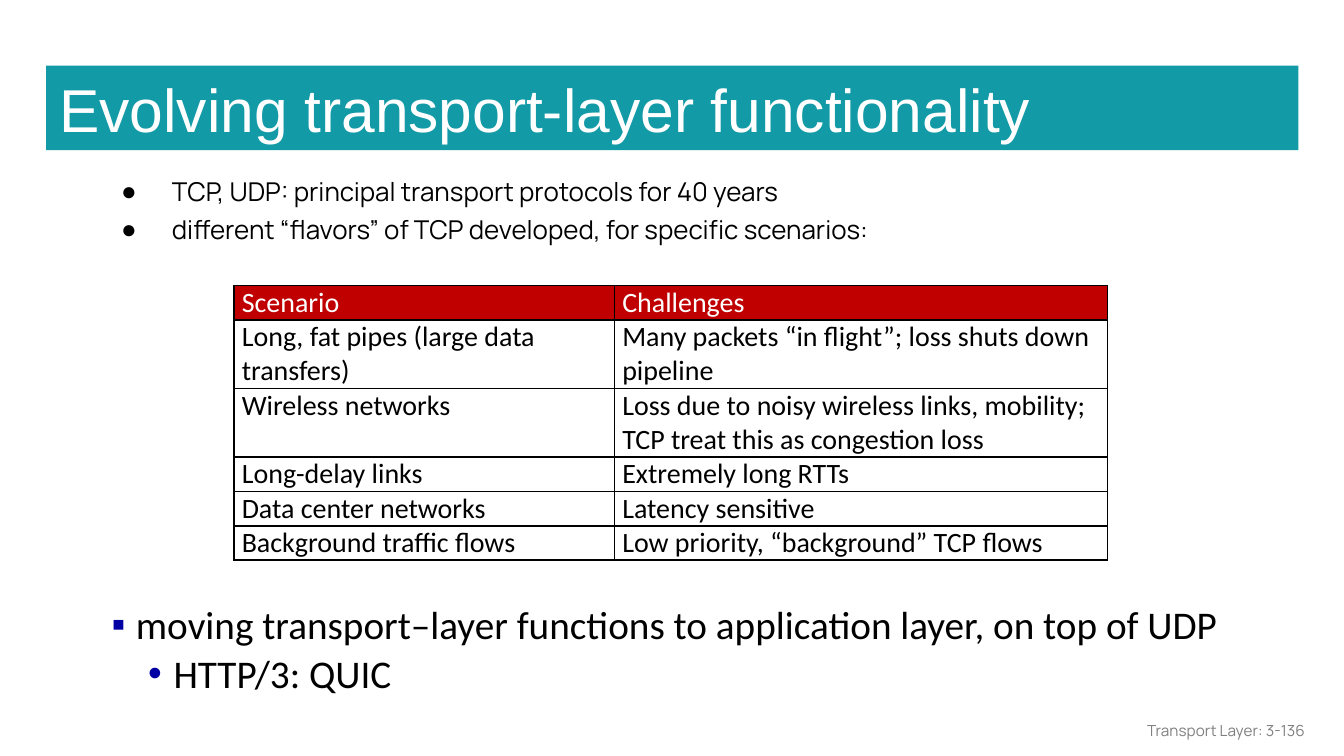
from lxml.etree import SubElement
from pptx import Presentation
from pptx.dml.color import RGBColor
from pptx.enum.text import MSO_ANCHOR, MSO_AUTO_SIZE, PP_ALIGN
from pptx.oxml.ns import qn
from pptx.util import Cm, Pt

TEAL = RGBColor(0x12, 0x9A, 0xA7)
RED = RGBColor(0xC0, 0x00, 0x00)
NAVY = RGBColor(0x00, 0x00, 0xA3)
GRAY = RGBColor(0x80, 0x80, 0x80)
BLACK = RGBColor(0x00, 0x00, 0x00)
WHITE = RGBColor(0xFF, 0xFF, 0xFF)

SCENARIOS = [
    ("Scenario", "Challenges"),
    ("Long, fat pipes (large data transfers)",
     "Many packets “in flight”; loss shuts down pipeline"),
    ("Wireless networks",
     "Loss due to noisy wireless links, mobility; TCP treat this as congestion loss"),
    ("Long-delay links", "Extremely long RTTs"),
    ("Data center networks", "Latency sensitive"),
    ("Background traffic flows", "Low priority, “background” TCP flows"),
]


class SlideBuilder:
    title_font, body_font, table_font = "Arial", "Manrope", "Calibri"

    def __init__(self, page):
        self.page = page

    def style(self, para, font, size, color):
        for span in para.runs:
            span.font.name = font
            span.font.size = Pt(size)
            span.font.bold = False
            span.font.color.rgb = color

    def frame(self, box, side, top):
        frame = box.text_frame
        frame.word_wrap = True
        frame.auto_size = MSO_AUTO_SIZE.NONE
        frame.vertical_anchor = MSO_ANCHOR.TOP
        frame.margin_left = frame.margin_right = Cm(side)
        frame.margin_top = frame.margin_bottom = Cm(top)
        return frame

    def title(self, text, left, top, width, height):
        box = self.page.shapes.title
        box.left, box.top, box.width, box.height = map(Cm, (left, top, width, height))
        box.fill.solid()
        box.fill.fore_color.rgb = TEAL
        frame = self.frame(box, 0.25, 0.12)
        frame.text = text
        frame.paragraphs[0].alignment = PP_ALIGN.LEFT
        self.style(frame.paragraphs[0], self.title_font, 32.4, WHITE)

    def text(self, left, top, width, height, side=0.25, inset=0.25):
        box = self.page.shapes.add_textbox(*map(Cm, (left, top, width, height)))
        return self.frame(box, side, inset)

    def bullet(self, para, mark, color, margin, indent):
        properties = para._p.get_or_add_pPr()
        properties.set("marL", str(Cm(margin)))
        properties.set("indent", str(Cm(indent)))
        fill = SubElement(SubElement(properties, qn("a:buClr")), qn("a:srgbClr"))
        fill.set("val", str(color))
        SubElement(properties, qn("a:buFont")).set("typeface", "Arial")
        SubElement(properties, qn("a:buChar")).set("char", mark)

    def bullets(self, frame, items, font, size, spacing, gap):
        """Each item is (text, mark, mark colour, margin, indent, level)."""
        frame.text = "\n".join(item[0] for item in items)
        for index, (para, item) in enumerate(zip(frame.paragraphs, items)):
            self.bullet(para, *item[1:5])
            para.level = item[5]
            para.line_spacing = spacing
            if index:
                para.space_before = Pt(gap)
            self.style(para, font, size, BLACK)

    def border(self, cell):
        properties = cell._tc.get_or_add_tcPr()
        for position, side in enumerate(("a:lnL", "a:lnR", "a:lnT", "a:lnB")):
            line = properties.makeelement(qn(side), {"w": str(Pt(1))})
            fill = SubElement(line, qn("a:solidFill"))
            SubElement(fill, qn("a:srgbClr")).set("val", str(BLACK))
            properties.insert(position, line)

    def table(self, rows, left, top, widths, heights):
        size = map(Cm, (left, top, sum(widths), sum(heights)))
        table = self.page.shapes.add_table(len(rows), len(widths), *size).table
        table.horz_banding = False
        for column, width in zip(table.columns, widths):
            column.width = Cm(width)
        for index, (row, height, texts) in enumerate(zip(table.rows, heights, rows)):
            row.height = Cm(height)
            for cell, text in zip(row.cells, texts):
                cell.margin_left = cell.margin_right = Cm(0.15)
                cell.margin_top = cell.margin_bottom = 0
                cell.text = text
                if index == 0:
                    cell.fill.solid()
                    cell.fill.fore_color.rgb = RED
                else:
                    cell.fill.background()
                self.border(cell)
                self.style(cell.text_frame.paragraphs[0], self.table_font, 15,
                           BLACK if index else WHITE)

    def footer(self, text, left, top, width, height):
        frame = self.text(left, top, width, height, 0.25, 0.13)
        frame.vertical_anchor = MSO_ANCHOR.MIDDLE
        frame.text = text
        frame.paragraphs[0].alignment = PP_ALIGN.RIGHT
        self.style(frame.paragraphs[0], self.body_font, 8.25, GRAY)


def main():
    deck = Presentation()
    deck.slide_width, deck.slide_height = Cm(25.4), Cm(14.29)
    slide = SlideBuilder(deck.slides.add_slide(deck.slide_layouts[5]))

    # Title band
    slide.title("Evolving transport-layer functionality", 0.87, 1.24, 23.67, 1.6)

    # Opening points
    points = ["TCP, UDP: principal transport protocols for 40 years",
              "different “flavors” of TCP developed, for specific scenarios:"]
    slide.bullets(slide.text(1.73, 3.11, 21.9, 2.06),
                  [(point, "●", BLACK, 1.27, -0.96, 0) for point in points],
                  slide.body_font, 13.9, 0.95, 4.5)

    # Scenario table
    line = 0.64
    slide.table(SCENARIOS, 4.42, 5.4, (7.19, 9.32),
                [line * count for count in (1, 2, 2, 1, 1, 1)])

    # Closing points
    slide.bullets(slide.text(1.65, 11.34, 21.9, 2.07, 0.18, 0.1), [
        ("moving transport–layer functions to application layer, on top of UDP",
         "▪", NAVY, 0.74, -0.46, 0),
        ("HTTP/3: QUIC", "•", NAVY, 1.45, -0.48, 1),
    ], slide.table_font, 21, 0.9, 3.8)

    # Page label
    slide.footer("Transport Layer: 3-136", 19.2, 13.42, 5.72, 0.76)

    deck.save("out.pptx")


if __name__ == "__main__":
    main()
